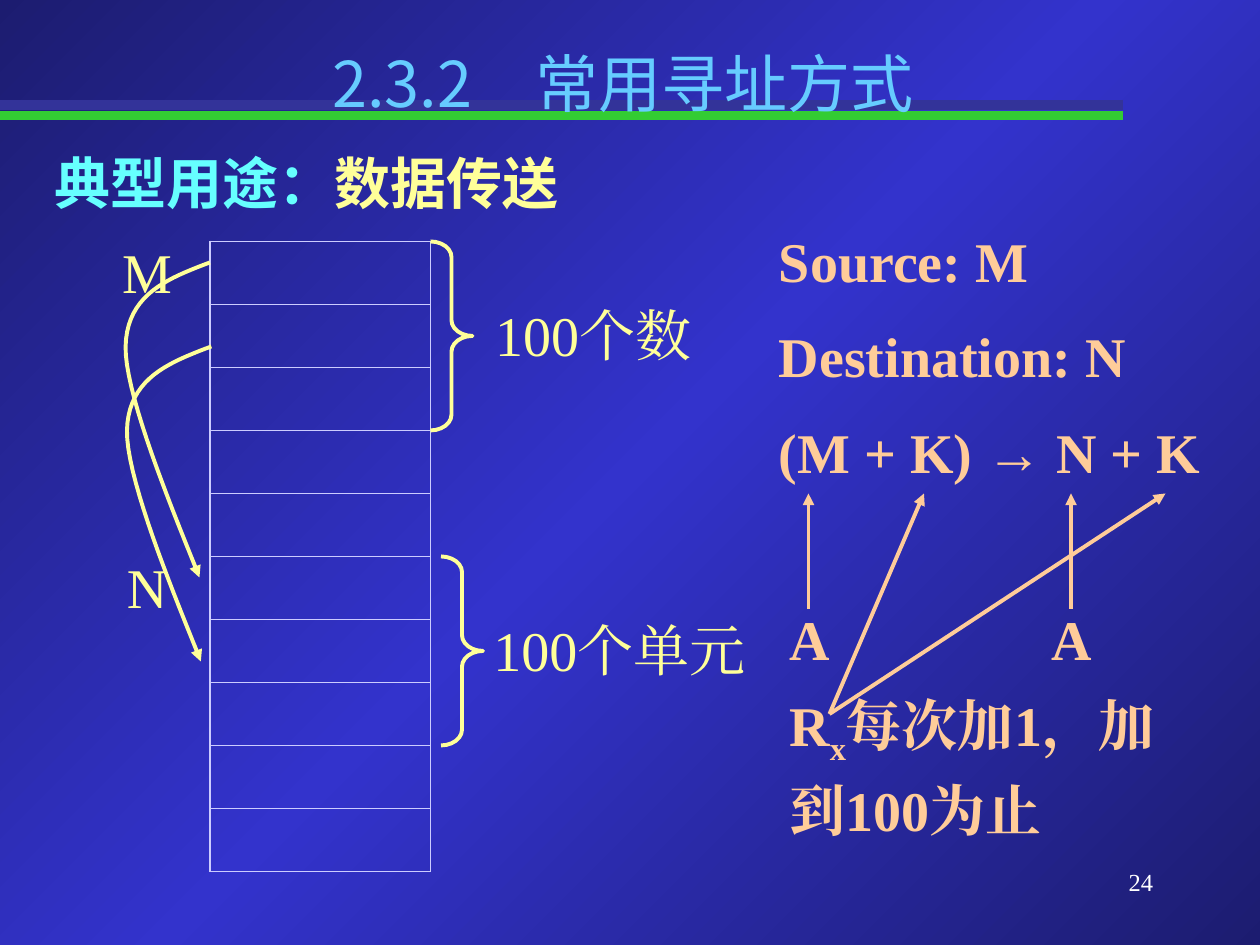
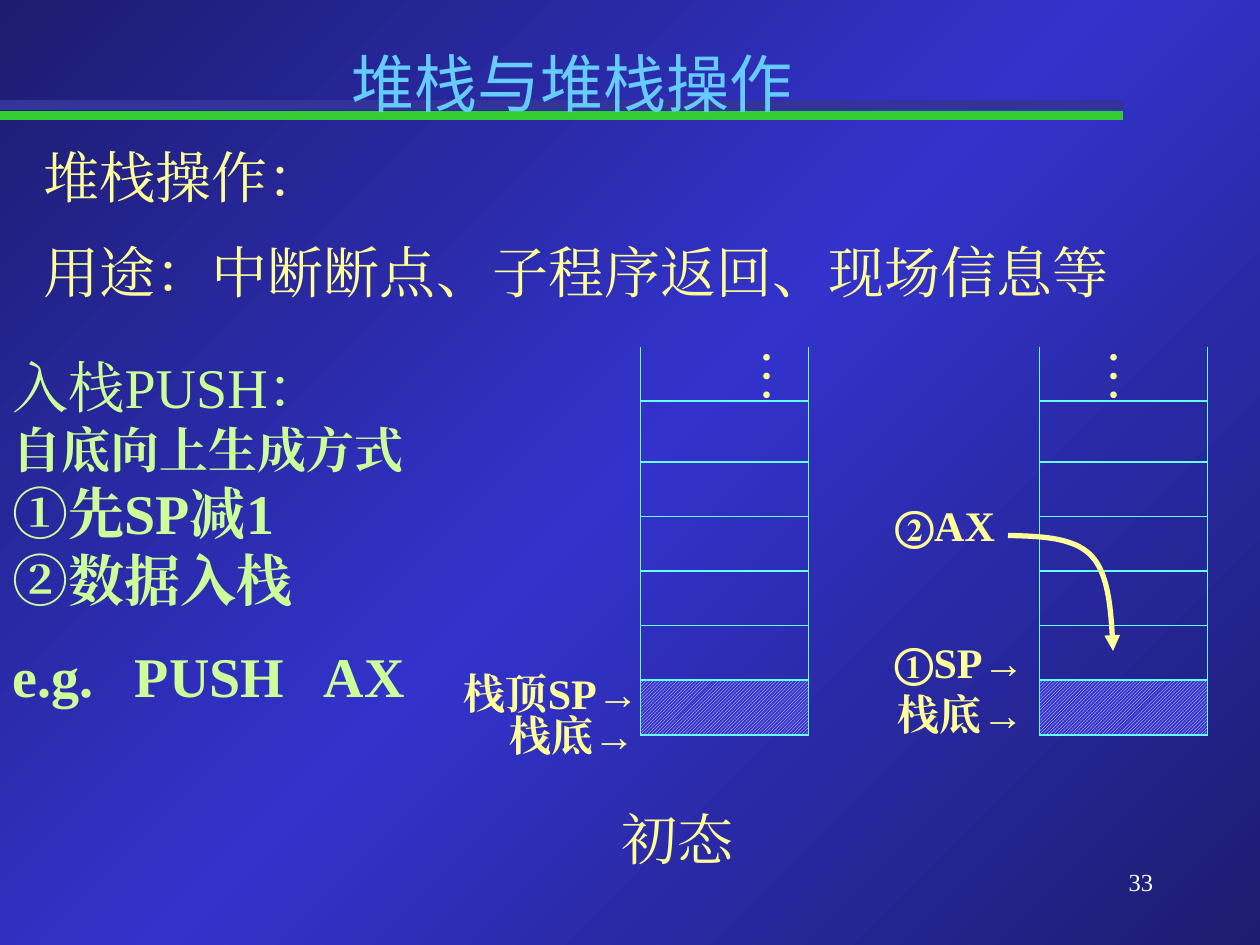
from copy import deepcopy
from dataclasses import dataclass

from lxml.etree import SubElement
from pptx import Presentation
from pptx.dml.color import RGBColor
from pptx.enum.dml import MSO_PATTERN_TYPE as PATTERN
from pptx.enum.shapes import MSO_CONNECTOR as CONN, MSO_SHAPE as SHAPE
from pptx.enum.text import PP_ALIGN as ALIGN
from pptx.oxml.ns import qn
from pptx.util import Pt


@dataclass(frozen=True)
class Theme:
    dark: str = "1C1C70"
    blue: str = "3333CC"
    band: str = "333399"
    green: str = "33CC33"
    white: str = "FFFFFF"
    title: str = "66CCFF"
    cyan: str = "66FFFF"
    yellow: str = "FFFF99"
    peach: str = "FFCC99"
    lime: str = "CCFF99"
    lavender: str = "CCCCFF"
    serif: str = "Times New Roman"
    sans: str = "Noto Sans CJK SC"
    title_size: int = 36
    body: int = 32
    sub: int = 28
    label: int = 24
    number: int = 14
    leading: float = 1.2
    sans_leading: float = 1.31
    gap: int = 16
    stroke: float = 2.25


T = Theme()


def rgb(color):
    return RGBColor.from_string(color)


def style_par(p, size, color, bold=False, font=T.serif, align=ALIGN.LEFT, gap=0, tabs=()):
    leading = T.sans_leading if font == T.sans else T.leading
    p.alignment = align
    p.line_spacing = Pt(size * leading)
    p.space_before = Pt(gap)
    if tabs:
        stops = SubElement(p._p.get_or_add_pPr(), qn("a:tabLst"))
        for pos in tabs:
            SubElement(stops, qn("a:tab"), pos=str(Pt(pos)), algn="l")
    f = p.font
    f.size, f.bold, f.name = Pt(size), bold, font
    f.color.rgb = rgb(color)
    SubElement(p._p.pPr.find(qn("a:defRPr")), qn("a:ea"), typeface=font)


def add_text(s, box, pars, size=T.body, color=T.yellow, **style):
    tb = s.shapes.add_textbox(*map(Pt, box))
    tf = tb.text_frame
    tf.word_wrap = True
    for i, text in enumerate(pars):
        p = tf.paragraphs[0] if i == 0 else tf.add_paragraph()
        style_par(p, size, color, gap=T.gap if i else 0, **style)
        for part in [text] if isinstance(text, str) else text:
            p.add_run().text = part
    return tf


def add_label(s, box, text, **style):
    return add_text(s, box, [text], align=ALIGN.CENTER, **style)


def set_line(shape, color, width, arrow=False):
    shape.line.color.rgb = rgb(color)
    shape.line.width = Pt(width)
    if arrow:
        SubElement(shape.line._get_or_add_ln(), qn("a:tailEnd"), type="triangle")


def add_line(s, start, end, color, width, arrow=False):
    c = s.shapes.add_connector(CONN.STRAIGHT, *map(Pt, start + end))
    set_line(c, color, width, arrow)
    SubElement(c._element.spPr, qn("a:effectLst"))


def bezier(a, b, c, d, t):
    u = 1 - t
    return tuple(u**3 * i + 3 * u * u * t * j + 3 * u * t * t * k + t**3 * m
                 for i, j, k, m in zip(a, b, c, d))


def add_curve(s, x, y, points, width=T.stroke, steps=20):
    path = [points[0]]
    for i in range(0, len(points) - 1, 3):
        path += [bezier(*points[i:i + 4], n / steps) for n in range(1, steps + 1)]
    path = [(Pt(x + dx), Pt(y + dy)) for dx, dy in path]
    fb = s.shapes.build_freeform(*path[0], scale=1.0)
    fb.add_line_segments(path[1:], close=False)
    sp = fb.convert_to_shape()
    sp.shadow.inherit = False
    sp.fill.background()
    set_line(sp, T.yellow, width, arrow=True)


def add_brace(s, x, y):
    sp = s.shapes.add_shape(SHAPE.RIGHT_BRACE, Pt(x), Pt(y), Pt(24), Pt(108))
    sp.adjustments[0] = 0.375
    sp.adjustments[1] = 0.5
    sp.shadow.inherit = False
    sp.fill.background()
    set_line(sp, T.yellow, T.stroke)


def set_borders(cell, color, open_top):
    tc_pr = cell._tc.get_or_add_tcPr()
    for i, side in enumerate(("lnL", "lnR", "lnT", "lnB")):
        ln = SubElement(tc_pr, qn(f"a:{side}"), w=str(Pt(1)))
        if side == "lnT" and open_top:
            SubElement(ln, qn("a:noFill"))
        else:
            SubElement(SubElement(ln, qn("a:solidFill")), qn("a:srgbClr"), val=color)
        tc_pr.insert(i, ln)


def add_memory(s, x, y, width, heights, color, open_top=False):
    frame = s.shapes.add_table(len(heights), 1, Pt(x), Pt(y), Pt(width), Pt(sum(heights)))
    table = frame.table
    table.first_row = table.horz_banding = False
    table.columns[0].width = Pt(width)
    for i, height in enumerate(heights):
        table.rows[i].height = Pt(height)
        cell = table.cell(i, 0)
        cell.margin_top = cell.margin_bottom = 0
        cell.fill.background()
        set_borders(cell, color, open_top and i == 0)
    return table


def add_base(prs, title, title_box, number):
    s = prs.slides.add_slide(prs.slide_layouts[6])
    fill = s.background.fill
    fill.gradient()
    fill.gradient_angle = 315
    stops = s._element.find(".//" + qn("a:gsLst"))
    stops.append(deepcopy(stops[0]))
    for stop, pos, color in zip(fill.gradient_stops, (0, 0.5, 1), (T.dark, T.blue, T.dark)):
        stop.position = pos
        stop.color.rgb = rgb(color)
    for y, color in ((66, T.green), (60, T.band)):
        add_line(s, (0, y), (642, y), color, 5.5)
    add_text(s, (516, 492, 150, 36), [number], T.number, T.white, align=ALIGN.RIGHT)
    add_label(s, title_box, title, size=T.title_size, color=T.title, font=T.sans)
    return s


def draw_transfer(s, x, y):
    add_memory(s, x + 72, y, 126, [36] * 10, T.lavender)
    add_label(s, (x, y - 6, 72, 45), "M")
    add_label(s, (x + 12, y + 174, 48, 45), "N")
    arc = [(72, 12), (48.3, 21), (24.5, 30), (23.8, 60), (23.1, 90), (57.6, 170), (66, 192)]
    for shift in (0, 48):
        add_curve(s, x + shift / 60, y + shift, arc)
    for brace_x, top, width, text in ((198, 0, 150, "100个数"), (204, 180, 180, "100个单元")):
        add_brace(s, x + brace_x, y + top)
        add_label(s, (x + 216, y + top + 30, width, 45), text)


def draw_addressing(s, x, y):
    add_text(s, (x, y, 282, 161), ["Source: M", "Destination: N", "(M + K) → N + K"],
             color=T.peach, bold=True)
    tf = add_text(s, (x + 6, y + 216, 252, 142),
                  ["A\tA", ("R", "x", "每次加1，加到100为止")],
                  color=T.peach, bold=True, tabs=(149.75,))
    p = tf.paragraphs[1]
    p.line_spacing, p.space_before = Pt(43.2), Pt(11.2)
    p.runs[1].font._element.set("baseline", "-25000")
    for start, end in (((24, 222), 24), ((174, 222), 174), ((36, 282), 90), ((36, 282), 228)):
        add_line(s, (x + start[0], y + start[1]), (x + end, y + 156), T.peach, T.stroke, True)


def draw_stack(s, x, y, dots_x):
    table = add_memory(s, x, y, 96, [31.2, 34.8] + [31.2] * 5, T.cyan, open_top=True)
    fill = table.cell(6, 0).fill
    fill.patterned()
    fill.pattern = PATTERN.DARK_UPWARD_DIAGONAL
    fill.fore_color.rgb = rgb(T.white)
    fill.back_color.rgb = rgb(T.blue)
    tf = add_label(s, (x + dots_x, y - 6, 52.5, 39.6), "…")
    tf.word_wrap = False
    tf._txBody.bodyPr.set("vert", "eaVert")


def draw_push_steps(s, x, y):
    tf = add_text(s, (x, y, 264, 214), [], color=T.lime)
    rows = (("入栈PUSH：", T.body, False, 0), ("自底向上生成方式", T.sub, True, 0),
            ("①先SP减1", T.body, True, 0), ("②数据入栈", T.body, True, 0),
            ("e.g.\tPUSH\tAX", T.body, True, T.gap))
    for i, (text, size, bold, gap) in enumerate(rows):
        p = tf.paragraphs[0] if i == 0 else tf.add_paragraph()
        style_par(p, size, T.lime, bold, gap=gap, tabs=(70, 178) if "\t" in text else ())
        p.add_run().text = text


def build_transfer_slide(prs):
    s = add_base(prs, "2.3.2　常用寻址方式", (114, 18, 484, 50), "24")
    tf = add_text(s, (24, 78, 636, 45), [("典型用途：", "数据传送")], bold=True, font=T.sans)
    tf.paragraphs[0].runs[0].font.color.rgb = rgb(T.cyan)
    draw_transfer(s, 48, 138)
    draw_addressing(s, 438, 126)


def build_stack_slide(prs):
    s = add_base(prs, "堆栈与堆栈操作", (90, 18, 474, 50), "33")
    add_text(s, (18, 78, 702, 142), ["堆栈操作：", "用途：中断断点、子程序返回、现场信息等"])
    draw_push_steps(s, 0, 198)
    mark = dict(size=T.label, bold=True)
    draw_stack(s, 366, 198, 54)
    add_label(s, (282, 402, 90, 36), "栈底→", **mark)
    add_text(s, (258, 378, 180, 36), ["栈顶SP→"], **mark)
    add_label(s, (312, 456, 150, 45), "初态")
    draw_stack(s, 594, 198, 24)
    add_label(s, (504, 390, 90, 36), "栈底→", **mark)
    add_text(s, (504, 360, 180, 36), ["①SP→"], **mark)
    add_label(s, (498, 282, 84, 36), "②AX", **mark)
    add_curve(s, 576, 306, [(0, 0), (19, 0.5), (38, 1), (48, 12), (58, 23), (59, 44.5), (60, 66)], 3)


def main():
    prs = Presentation()
    prs.slide_width, prs.slide_height = Pt(720), Pt(540)
    build_transfer_slide(prs)
    build_stack_slide(prs)
    prs.save("out.pptx")


if __name__ == "__main__":
    main()
